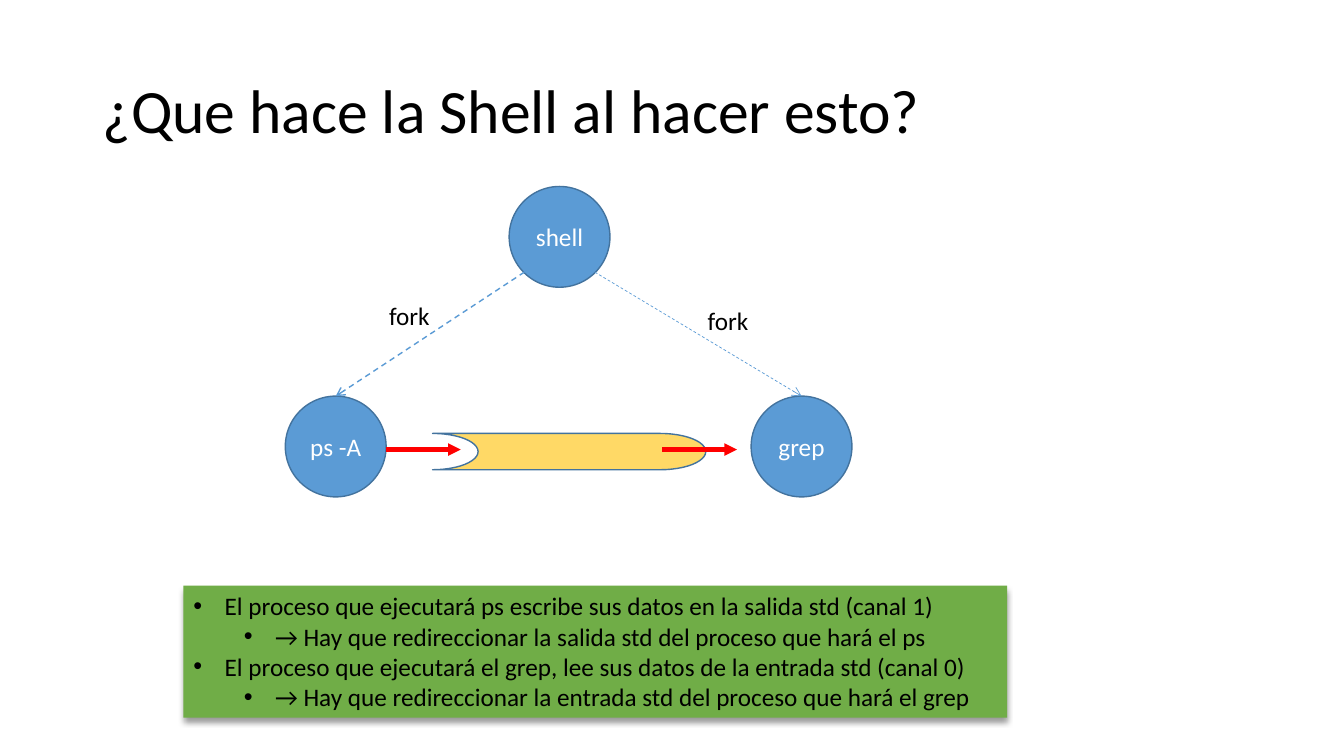
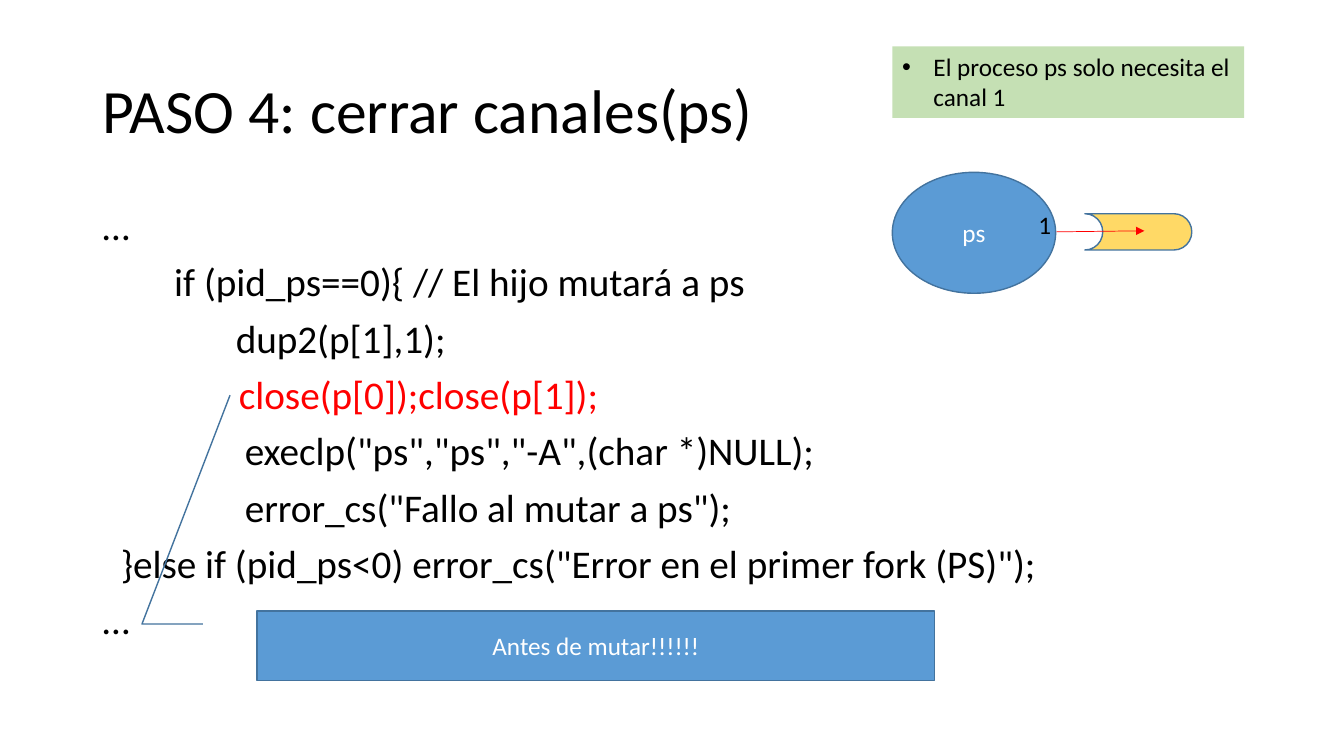
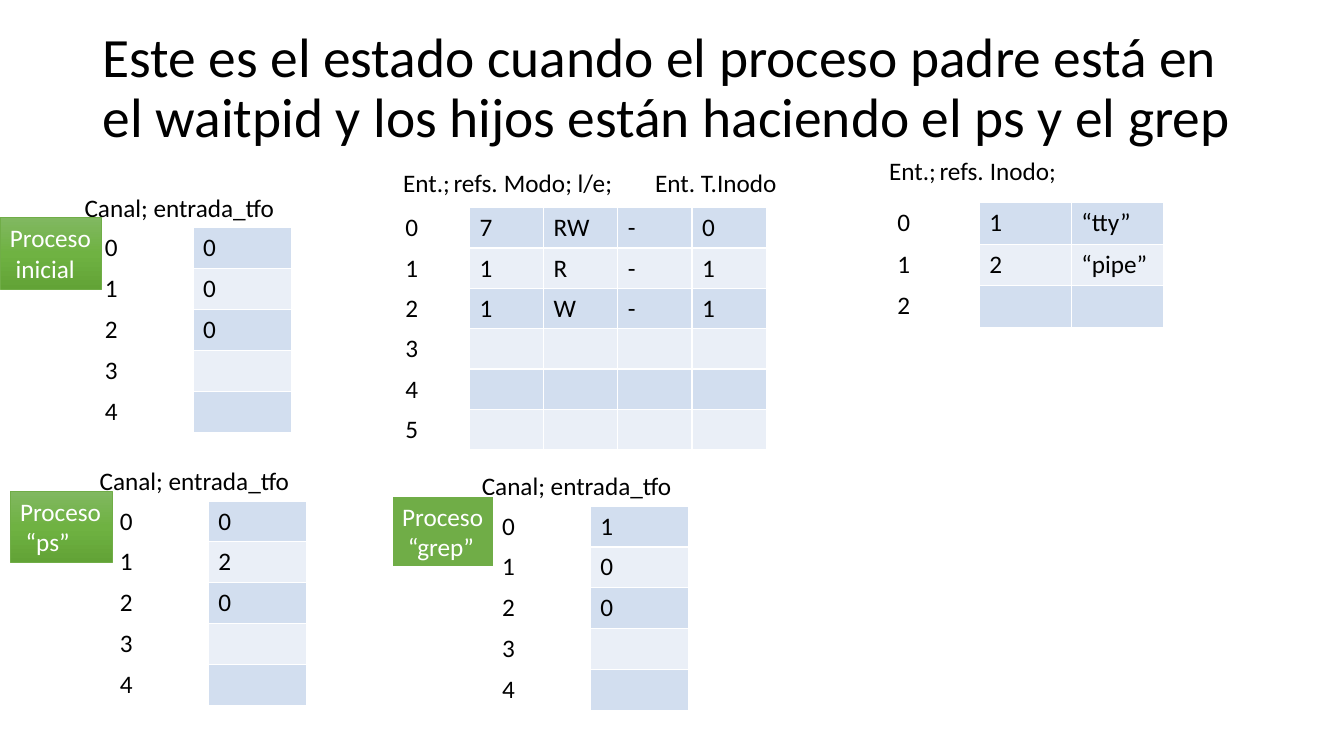
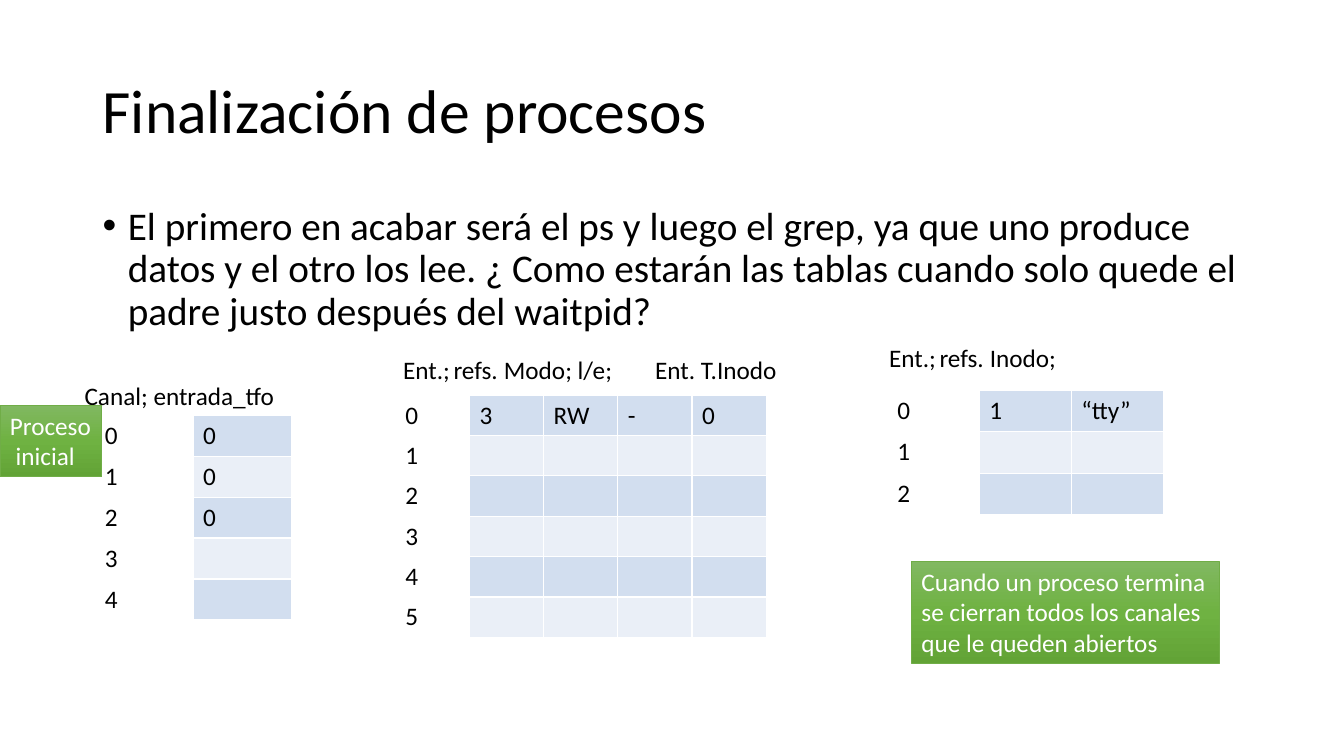
from pptx import Presentation
from pptx.dml.color import RGBColor
from pptx.enum.dml import MSO_LINE
from pptx.enum.shapes import MSO_CONNECTOR, MSO_SHAPE
from pptx.enum.text import MSO_ANCHOR, MSO_AUTO_SIZE, PP_ALIGN
from pptx.oxml import parse_xml
from pptx.oxml.ns import nsdecls, qn
from pptx.util import Inches, Pt

FONT = "Calibri"
BLACK = RGBColor(0x00, 0x00, 0x00)
WHITE = RGBColor(0xFF, 0xFF, 0xFF)
RED = RGBColor(0xFF, 0x00, 0x00)
BLUE = RGBColor(0x5B, 0x9B, 0xD5)
DARK_BLUE = RGBColor(0x43, 0x73, 0x9E)
YELLOW = RGBColor(0xFF, 0xD9, 0x66)
GREEN = RGBColor(0x70, 0xAD, 0x47)
PALE_GREEN = RGBColor(0xC5, 0xE0, 0xB4)
BANDS = RGBColor(0xD2, 0xDE, 0xEF), RGBColor(0xEA, 0xEF, 0xF7)
GREEN_STOPS = (
    (0, RGBColor(0x81, 0xB8, 0x61)),
    (50, RGBColor(0x6F, 0xB2, 0x42)),
    (100, RGBColor(0x62, 0xA3, 0x36)),
)


def xml(parent, markup, index=None):
    """Parse one DrawingML element and put it into parent."""
    tag, rest = markup[1:].split(" ", 1)
    child = parse_xml(f"<{tag} {nsdecls('a')} {rest}")
    parent.insert(len(parent) if index is None else index, child)
    return child


def write(tf, text, size=18, color=BLACK, align=None, indent=0, hanging=0,
          level=0, spacing=None, before=None, tabs=()):
    """Add one paragraph; hanging > 0 gives it a bullet."""
    p = tf.paragraphs[0]
    if p.runs:
        p = tf.add_paragraph()
    p.alignment, p.level = align, level
    p.line_spacing = spacing
    if before is not None:
        p.space_before = Pt(before)
    pPr = p._p.get_or_add_pPr()
    pPr.set("marL", str(Inches(indent)))
    pPr.set("indent", str(-Inches(hanging)))
    if hanging:
        xml(pPr, '<a:buFont typeface="Arial"/>')
        xml(pPr, '<a:buChar char="•"/>')
    if tabs:
        stops = "".join(f'<a:tab pos="{Inches(t)}" algn="l"/>' for t in tabs)
        xml(pPr, f"<a:tabLst >{stops}</a:tabLst>")
    for i, line in enumerate(text.split("\n")):
        if i:
            p.add_line_break()
        r = p.add_run()
        r.text = line
        r.font.name, r.font.size = FONT, Pt(size)
        r.font.color.rgb = color


def text_box(s, x, y, w, h, text=None, wrap=True, anchor=MSO_ANCHOR.TOP, **fmt):
    tf = s.shapes.add_textbox(Inches(x), Inches(y), Inches(w), Inches(h)).text_frame
    tf.word_wrap, tf.vertical_anchor = wrap, anchor
    if not wrap:
        tf.auto_size = MSO_AUTO_SIZE.SHAPE_TO_FIT_TEXT
    if text:
        write(tf, text, **fmt)
    return tf


def title(s, text, h=1.45, size=44):
    text_box(s, 0.92, 0.4, 11.5, h, text, anchor=MSO_ANCHOR.MIDDLE,
             size=size, spacing=0.9)


def shape(s, kind, x, y, w, h, fill=BLUE, line=DARK_BLUE, width=1, text=None):
    sp = s.shapes.add_shape(kind, Inches(x), Inches(y), Inches(w), Inches(h))
    sp.shadow.inherit = False
    if fill == GREEN_STOPS:
        sp.fill.gradient()
        sp.fill.gradient_angle = 270
        stops = sp.element.spPr.find(qn("a:gradFill")).find(qn("a:gsLst"))
        for old in list(stops):
            stops.remove(old)
        for pos, color in fill:
            xml(stops, f'<a:gs pos="{pos * 1000}"><a:srgbClr val="{color}"/></a:gs>')
    else:
        sp.fill.solid()
        sp.fill.fore_color.rgb = fill
    if line is None:
        sp.line.fill.background()
    else:
        sp.line.color.rgb, sp.line.width = line, Pt(width)
    if text:
        sp.text_frame.vertical_anchor = MSO_ANCHOR.MIDDLE
        write(sp.text_frame, text, color=WHITE, align=PP_ALIGN.CENTER)
    return sp


def note(s, x, y, w, h, text=None, fill=GREEN_STOPS, line=GREEN, width=0.5, **fmt):
    """Green box whose text starts at the top left."""
    sp = shape(s, MSO_SHAPE.RECTANGLE, x, y, w, h, fill, line, width)
    tf = sp.text_frame
    tf.word_wrap, tf.vertical_anchor = False, MSO_ANCHOR.TOP
    tf.auto_size = MSO_AUTO_SIZE.SHAPE_TO_FIT_TEXT
    if text:
        write(tf, text, **{"color": WHITE, "align": PP_ALIGN.LEFT, **fmt})
    return sp


def arrow(s, start, end, color=RED, width=3, head="triangle", dash=None):
    points = [Inches(v) for v in (*start, *end)]
    cn = s.shapes.add_connector(MSO_CONNECTOR.STRAIGHT, *points)
    cn.line.color.rgb, cn.line.width = color, Pt(width)
    if dash:
        cn.line.dash_style = dash
    xml(cn.line._get_or_add_ln(), f'<a:tailEnd type="{head}"/>')
    xml(cn.element.spPr, "<a:effectLst />")


def pipe(s, x, y, w):
    shape(s, MSO_SHAPE.FLOWCHART_STORED_DATA, x, y, w, 0.36, YELLOW).rotation = 180


def process(s, x, y, name, w=1, h=1):
    shape(s, MSO_SHAPE.OVAL, x, y, w, h, text=name)


def entry_table(s, x, y, w, h, n_rows, n_cols, entries):
    """Numbered rows with banded cells; rows without an entry stay blank."""
    t = s.shapes.add_table(n_rows, n_cols, Inches(x), Inches(y),
                           Inches(w), Inches(h)).table
    t.first_row = t.horz_banding = False
    for i in range(n_rows):
        values = entries[i] if i < len(entries) else ()
        for j, text in enumerate((str(i), *values, *[""] * (n_cols - 1 - len(values)))):
            cell = t.cell(i, j)
            if j:
                cell.fill.solid()
                cell.fill.fore_color.rgb = BANDS[i % 2]
            else:
                cell.fill.background()
            write(cell.text_frame, text)
            tcPr = cell._tc.get_or_add_tcPr()
            for k, side in enumerate("LRTB"):
                xml(tcPr, f'<a:ln{side} w="{Pt(1)}"><a:solidFill>'
                          f'<a:srgbClr val="{WHITE}"/></a:solidFill></a:ln{side}>', k)


def channel_table(s, x, y, name, entries, dx=0.99, **look):
    """Channels of one process: name box at x, table dx to its right."""
    entry_table(s, x + dx, y, 1.95, 2.03, 5, 2, entries)
    text_box(s, x + dx - 0.2, y - 0.4, 2.11, 0.4, "Canal; entrada_tfo", wrap=False)
    note(s, x, y - 0.1, 1.01, 0.71, f"Proceso\n {name}", **look)


def system_tables(s, y, files, inodes):
    """Initial process, open files and inodes, side by side from y down."""
    channel_table(s, 0, y + 0.77, "inicial", ["0"] * 3, dx=0.94)
    entry_table(s, 3.92, y + 0.57, 3.68, 2.4, 6, 5, files)
    text_box(s, 3.9, y + 0.12, 4.37, 0.4, "Ent.;\trefs.\tModo; l/e;\tEnt. T.Inodo",
             tabs=(0.63, 1.41, 2.82))
    entry_table(s, 8.8, y + 0.52, 2.74, 1.24, 3, 3, inodes)
    text_box(s, 8.72, y, 2.6, 0.4, "Ent.;\trefs.\tInodo;", tabs=(0.86, 1.64))


def shell_slide(s):
    title(s, "¿Que hace la Shell al hacer esto?")
    process(s, 5.05, 1.85, "shell")
    process(s, 2.83, 3.93, "ps -A")
    process(s, 7.45, 3.93, "grep")
    arrow(s, (5.2, 2.7), (3.33, 3.93), BLUE, 1, "arrow", MSO_LINE.DASH)
    arrow(s, (5.9, 2.7), (7.95, 3.93), BLUE, 0.5, "arrow", MSO_LINE.DASH)
    text_box(s, 3.76, 2.93, 0.81, 0.4, "fork")
    text_box(s, 6.92, 2.98, 0.81, 0.4, "fork")
    pipe(s, 4.29, 4.3, 2.71)
    for x in (3.83, 6.57):
        arrow(s, (x, 4.46), (x + 0.74, 4.46))
    sp = note(s, 1.82, 5.81, 8.17, 1.31, fill=GREEN, line=None)
    xml(sp.element.spPr.find(qn("a:effectLst")),
        f'<a:outerShdw blurRad="{Pt(4)}" dist="{Pt(3)}" dir="5400000" rotWithShape="0">'
        f'<a:srgbClr val="{BLACK}"><a:alpha val="40000"/></a:srgbClr></a:outerShdw>')
    for level, text in (
        (0, "El proceso que ejecutará ps escribe sus datos en la salida std (canal 1)"),
        (1, "→ Hay que redireccionar la salida std del proceso que hará el ps"),
        (0, "El proceso que ejecutará el grep, lee sus datos de la entrada std (canal 0)"),
        (1, "→ Hay que redireccionar la entrada std del proceso que hará el grep"),
    ):
        write(sp.text_frame, text, align=PP_ALIGN.LEFT, level=level,
              indent=0.31 + 0.5 * level, hanging=0.31)


def close_slide(s):
    code = text_box(s, 0.92, 2, 11.5, 4.76)
    for indent, text, color in (
        (0, "…", BLACK),
        (0.71, "if (pid_ps==0){ // El hijo mutará a ps", BLACK),
        (1.32, "dup2(p[1],1);", BLACK),
        (1.35, "close(p[0]);close(p[1]);", RED),
        (1.41, 'execlp("ps","ps","-A",(char *)NULL);', BLACK),
        (1.41, 'error_cs("Fallo al mutar a ps");', BLACK),
        (0.18, '}else if (pid_ps<0) error_cs("Error en el primer fork (PS)");', BLACK),
        (0, "…", BLACK),
    ):
        write(code, text, size=28, color=color, indent=indent, spacing=0.9, before=10)
    title(s, "PASO 4: cerrar canales(ps)")
    process(s, 8.85, 1.71, "ps", 1.62, 1.2)
    text_box(s, 10.2, 2.03, 0.28, 0.4, "1")
    pipe(s, 10.76, 2.12, 1.06)
    arrow(s, (10.48, 2.3), (11.35, 2.29), width=0.5)
    note(s, 8.85, 0.46, 3.49, 0.71, "El proceso ps solo necesita el\ncanal 1",
         fill=PALE_GREEN, line=None, color=BLACK, indent=0.31, hanging=0.31)
    callout = shape(s, MSO_SHAPE.LINE_CALLOUT_2, 2.55, 6.06, 6.72, 0.69,
                    text="Antes de mutar!!!!!!")
    for i, value in enumerate((0.19, -0.08, 0.19, -0.17, -3.1, -0.04)):
        callout.adjustments[i] = value


def waiting_slide(s):
    system_tables(s, 1.49, [("7", "RW", "-", "0"), ("1", "R", "-", "1"),
                            ("1", "W", "-", "1")],
                  [("1", "“tty”"), ("2", "“pipe”")])
    title(s, "Este es el estado cuando el proceso padre está en el waitpid "
             "y los hijos están haciendo el ps y el grep", h=0.98, size=39.6)
    channel_table(s, 0.1, 4.97, "“ps”", ["0", "2", "0"])
    channel_table(s, 3.89, 5.02, "“grep”", ["1", "0", "0"],
                  fill=GREEN, line=WHITE, width=1.5)


def ending_slide(s):
    title(s, "Finalización de procesos")
    text_box(s, 0.92, 2, 11.5, 4.76,
             "El primero en acabar será el ps y luego el grep, ya que uno produce "
             "datos y el otro los lee. ¿ Como estarán las tablas cuando solo quede "
             "el padre justo después del waitpid?",
             size=28, indent=0.25, hanging=0.25, spacing=0.9, before=10)
    system_tables(s, 3.35, [("3", "RW", "-", "0")], [("1", "“tty”")])
    note(s, 9.04, 5.57, 3.05, 1.01, "Cuando un proceso termina\n"
         "se cierran todos los canales\nque le queden abiertos")


def main():
    prs = Presentation()
    prs.slide_width, prs.slide_height = Inches(13.33), Inches(7.5)
    for build in (shell_slide, close_slide, waiting_slide, ending_slide):
        build(prs.slides.add_slide(prs.slide_layouts[6]))
    prs.save("out.pptx")


if __name__ == "__main__":
    main()
